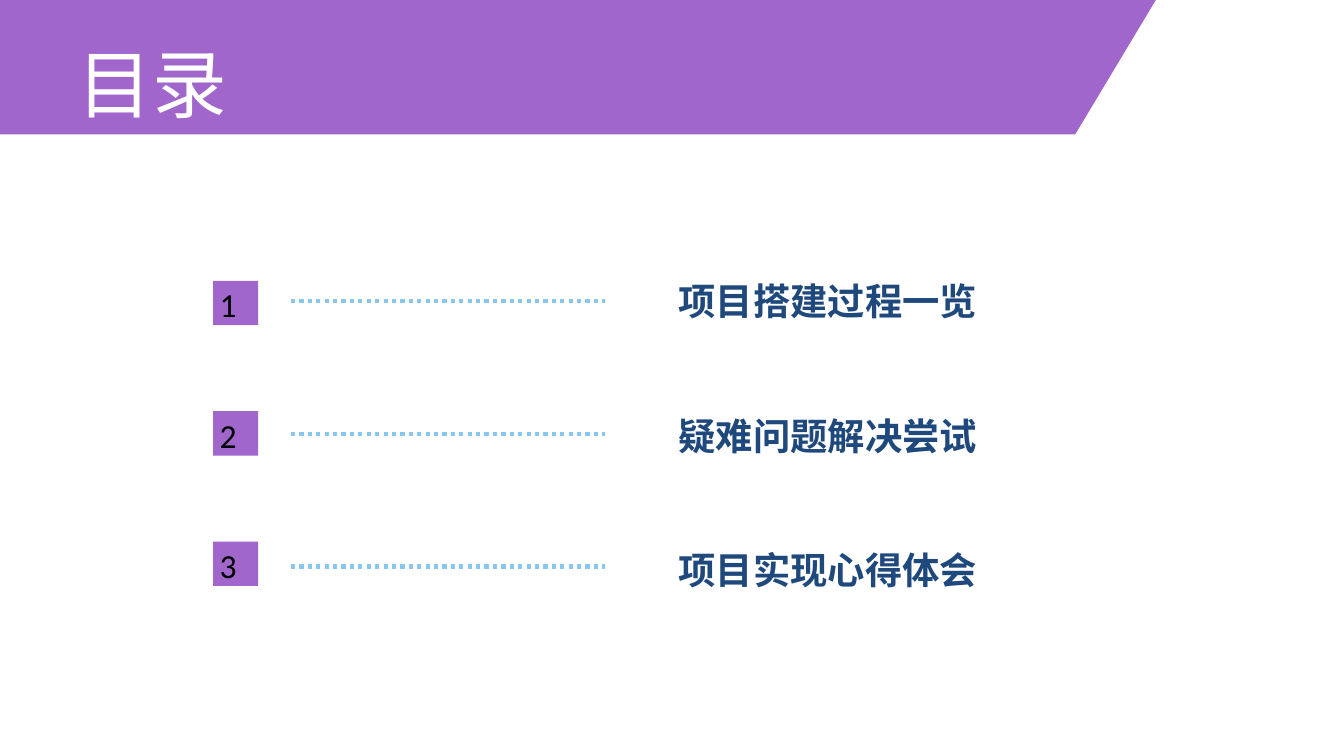
from dataclasses import dataclass
from typing import Any

from lxml.etree import SubElement
from pptx import Presentation
from pptx.dml.color import RGBColor
from pptx.enum.dml import MSO_LINE_DASH_STYLE as Dash
from pptx.enum.shapes import MSO_CONNECTOR as Connector, MSO_SHAPE as Preset
from pptx.enum.text import MSO_ANCHOR as Anchor, MSO_AUTO_SIZE as AutoSize, PP_ALIGN as Align
from pptx.oxml.ns import qn
from pptx.util import Inches, Pt

PURPLE = RGBColor(0xA0, 0x66, 0xCB)
SKY = RGBColor(0x86, 0xC7, 0xED)
NAVY = RGBColor(0x1F, 0x49, 0x7D)
WHITE = RGBColor(0xFF, 0xFF, 0xFF)
BLACK = RGBColor(0x00, 0x00, 0x00)

COLUMNS, ROWS = 20, 11.25
CELL = Inches(1)

TITLE_FONT = {"name": "Lato", "size": Pt(80), "bold": False}
NUMBER_FONT = {"name": "Calibri", "size": Pt(36), "bold": False}
LABEL_FONT = {"name": "Calibri", "size": Pt(40), "bold": True}
NO_MARGINS = dict.fromkeys(("margin_left", "margin_top", "margin_right", "margin_bottom"), 0)

BANNER = [(15.86, -7.96), (-0.16, -7.96), (-3.18, -2.74),
          (-0.16, 2.48), (15.86, 2.48), (18.87, -2.74)]
TOPICS = ["项目搭建过程一览", "疑难问题解决尝试", "项目实现心得体会"]


@dataclass(frozen=True)
class Area:
    column: float
    row: float
    width: float
    height: float

    def lengths(self) -> list[int]:
        return [cells(n) for n in (self.column, self.row, self.width, self.height)]


@dataclass(frozen=True)
class Entry:
    number: int
    topic: str

    def row(self, first: float, pitch: float) -> float:
        return first + pitch * (self.number - 1)


def cells(count: float) -> int:
    return round(count * CELL)


def apply(target: Any, values: dict[str, Any]) -> None:
    for name, value in values.items():
        setattr(target, name, value)


def paint(shape: Any, color: RGBColor) -> None:
    shape.shadow.inherit = False
    shape.fill.solid()
    shape.fill.fore_color.rgb = color
    shape.line.fill.background()


def write(shape: Any, text: str, font: dict[str, Any], color: RGBColor,
          frame: dict[str, Any]) -> Any:
    apply(shape.text_frame, {"vertical_anchor": Anchor.TOP, **frame})
    para = shape.text_frame.paragraphs[0]
    para.alignment = Align.LEFT
    span = para.add_run()
    span.text = text
    apply(span.font, font)
    span.font.color.rgb = color
    return para


def draw_banner(page: Any) -> None:
    start, *corners = BANNER
    builder = page.shapes.build_freeform(*start, scale=CELL)
    builder.add_line_segments(corners, close=True)
    paint(builder.convert_to_shape(), PURPLE)


def draw_title(page: Any, text: str) -> None:
    box = page.shapes.add_textbox(*Area(1.16, 0.67, 6.86, 1.23).lengths())
    frame = {"word_wrap": True, "auto_size": AutoSize.SHAPE_TO_FIT_TEXT, **NO_MARGINS}
    write(box, text, TITLE_FONT, WHITE, frame).line_spacing = Pt(88)


def draw_number(page: Any, entry: Entry) -> None:
    area = Area(3.17, entry.row(4.18, 1.94), 0.67, 0.66)
    square = page.shapes.add_shape(Preset.RECTANGLE, *area.lengths())
    paint(square, PURPLE)
    write(square, str(entry.number), NUMBER_FONT, BLACK, {"word_wrap": True})


def draw_leader(page: Any, entry: Entry) -> None:
    height = cells(entry.row(4.48, 1.975))
    leader = page.shapes.add_connector(Connector.STRAIGHT, cells(4.33), height, cells(9), height)
    leader.line.color.rgb = SKY
    apply(leader.line, {"width": Pt(4.5), "dash_style": Dash.ROUND_DOT})
    SubElement(leader.element.spPr, qn("a:effectLst"))


def draw_label(page: Any, entry: Entry) -> None:
    area = Area(10, entry.row(4.09, 2.005), 4.7, 0.77)
    box = page.shapes.add_textbox(*area.lengths())
    frame = {"word_wrap": False, "auto_size": AutoSize.SHAPE_TO_FIT_TEXT}
    write(box, entry.topic, LABEL_FONT, NAVY, frame)


def main() -> None:
    deck = Presentation()
    apply(deck, {"slide_width": cells(COLUMNS), "slide_height": cells(ROWS)})
    page = deck.slides.add_slide(deck.slide_layouts[6])
    draw_banner(page)
    draw_title(page, "目录")
    for number, topic in enumerate(TOPICS, start=1):
        entry = Entry(number, topic)
        draw_leader(page, entry)
        draw_number(page, entry)
        draw_label(page, entry)
    deck.save("out.pptx")


if __name__ == "__main__":
    main()
